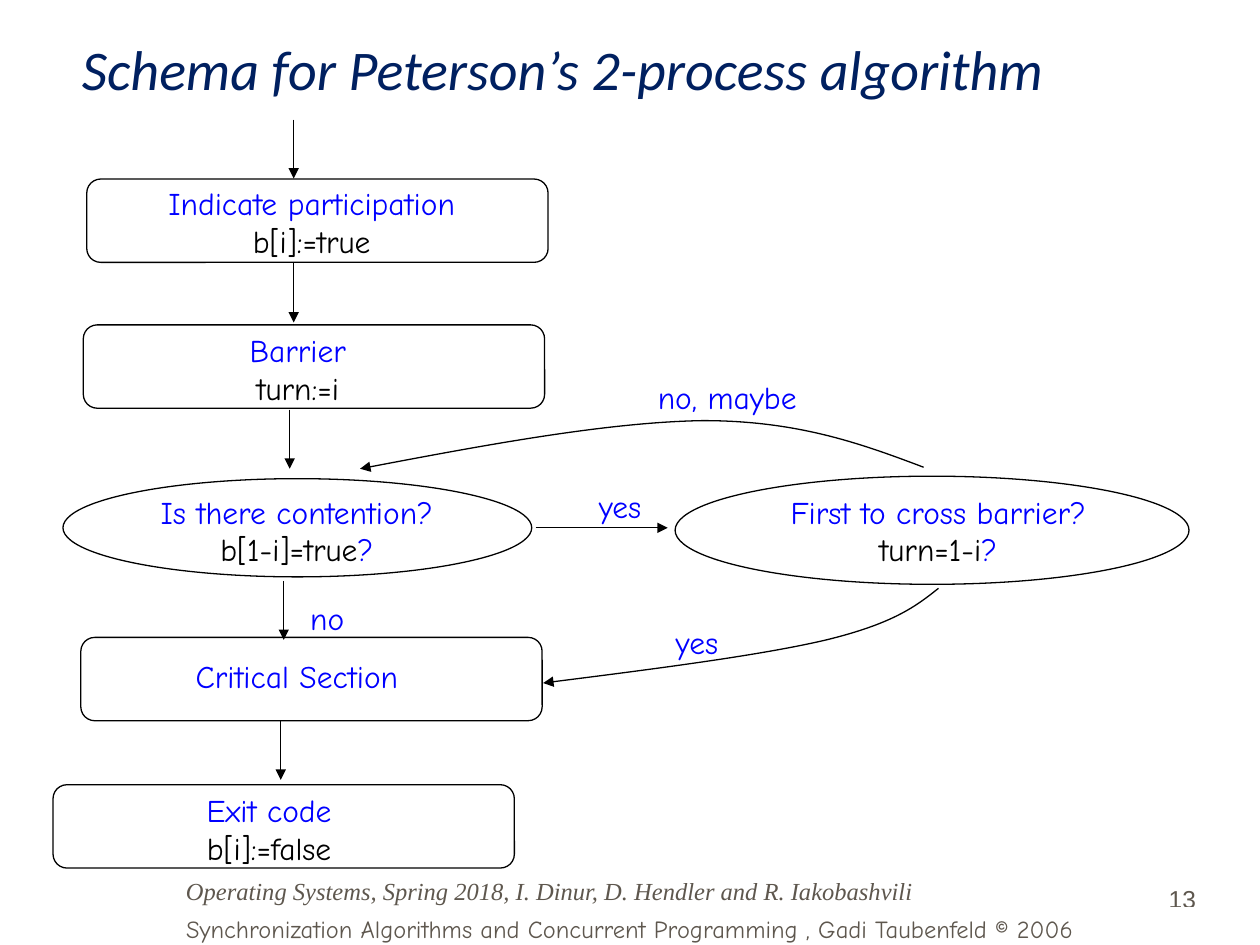
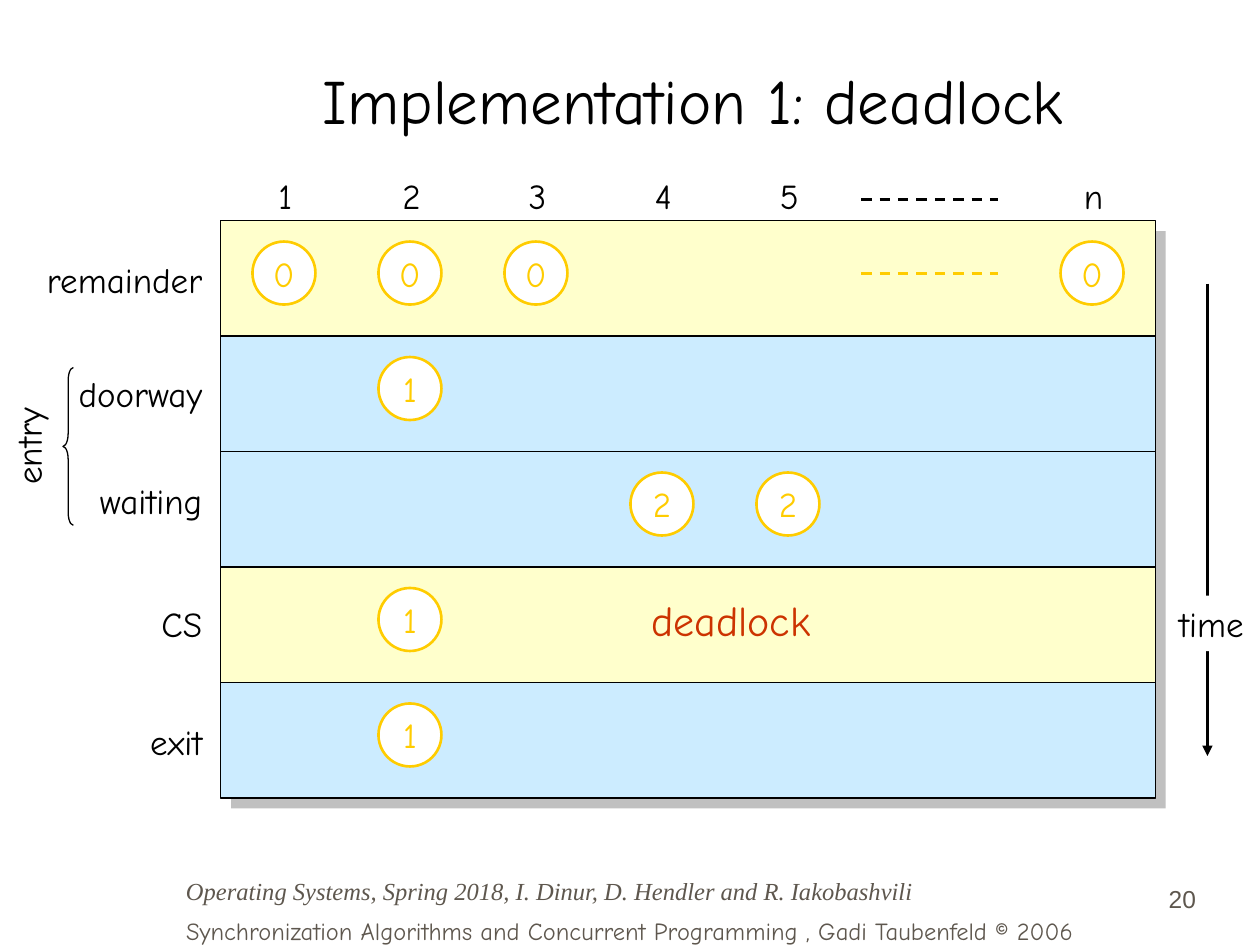
from dataclasses import dataclass

from lxml import etree
from pptx import Presentation
from pptx.dml.color import RGBColor
from pptx.enum.dml import MSO_LINE
from pptx.enum.shapes import MSO_CONNECTOR, MSO_SHAPE
from pptx.enum.text import MSO_ANCHOR, MSO_AUTO_SIZE, PP_ALIGN
from pptx.oxml.ns import qn
from pptx.util import Cm, Pt

ROUNDED, OVAL = MSO_SHAPE.ROUNDED_RECTANGLE, MSO_SHAPE.OVAL
RECTANGLE, BRACE = MSO_SHAPE.RECTANGLE, MSO_SHAPE.LEFT_BRACE
STRAIGHT = MSO_CONNECTOR.STRAIGHT
DASH = MSO_LINE.DASH
LEFT, CENTER, RIGHT = PP_ALIGN.LEFT, PP_ALIGN.CENTER, PP_ALIGN.RIGHT
TOP, MIDDLE, BOTTOM = MSO_ANCHOR.TOP, MSO_ANCHOR.MIDDLE, MSO_ANCHOR.BOTTOM
FIXED = MSO_AUTO_SIZE.NONE


@dataclass(frozen=True)
class Theme:
    black: str = "000000"
    white: str = "FFFFFF"
    navy: str = "002060"
    blue: str = "0000FF"
    footer: str = "5E574E"
    gold: str = "FFCC00"
    cream: str = "FFFFCC"
    sky: str = "CCECFF"
    shade: str = "C0C0C0"
    alert: str = "CC3300"
    hand: str = "Comic Neue"
    serif: str = "Times New Roman"
    sans: str = "Arial"
    heading: str = "Calibri"
    footer_size: float = 14
    flow_size: float = 18
    table_size: float = 20
    alert_size: float = 24
    flow_title: float = 32
    table_title: float = 36
    thin: float = 0.75
    thick: float = 1.5


THEME = Theme()


@dataclass(frozen=True)
class Box:
    left: float
    top: float
    width: float
    height: float

    def inner(self, left, top, width, height):
        return Box(self.left + left, self.top + top, width, height)

    def point(self, x, y):
        return Cm(self.left + x), Cm(self.top + y)

    def lengths(self):
        return [Cm(value) for value in (self.left, self.top, self.width, self.height)]


def style(name, size, color, **more):
    return {"name": name, "size": Pt(size), "color": color, **more}


FLOW_BLUE = style(THEME.hand, THEME.flow_size, THEME.blue)
FLOW_BLACK = style(THEME.hand, THEME.flow_size, THEME.black)
TABLE_BLACK = style(THEME.hand, THEME.table_size, THEME.black)
TABLE_GOLD = style(THEME.hand, THEME.table_size, THEME.gold)
ALERT = style(THEME.hand, THEME.alert_size, THEME.alert)
FOOTER = style(THEME.serif, THEME.footer_size, THEME.footer, italic=True)
NUMBER = style(THEME.sans, THEME.footer_size, THEME.footer)
CREDIT = style(THEME.hand, THEME.footer_size, THEME.footer)
FLOW_TITLE = style(THEME.heading, THEME.flow_title, THEME.navy, italic=True)
TABLE_TITLE = style(THEME.hand, THEME.table_title, THEME.black)


def apply(target, values):
    for name, value in values.items():
        if name == "color":
            target.color.rgb = RGBColor.from_string(value)
        else:
            setattr(target, name, value)


def write(shape, lines, align=LEFT, anchor=TOP, before=0, wrap=True):
    frame = shape.text_frame
    apply(frame, {
        "word_wrap": wrap, "auto_size": FIXED, "vertical_anchor": anchor,
        "margin_left": Cm(0.25), "margin_right": Cm(0.25),
        "margin_top": Cm(0.13), "margin_bottom": Cm(0.13),
    })
    paragraph = frame.paragraphs[0]
    apply(paragraph, {"alignment": align, "space_before": Pt(before)})
    for index, line in enumerate(lines):
        if index:
            paragraph.add_line_break()
        for text, font in line:
            run = paragraph.add_run()
            run.text = text
            apply(run.font, font)


def add_text(slide, box, lines, **layout):
    shape = slide.shapes.add_textbox(*box.lengths())
    write(shape, lines, **layout)
    return shape


def outline(shape, color, width, arrow=False):
    apply(shape.line, {"color": color, "width": Pt(width)})
    if arrow:
        line = shape.line._get_or_add_ln()
        etree.SubElement(line, qn("a:tailEnd"), type="triangle")


def add_shape(slide, kind, box, fill=None, line=None, width=THEME.thin):
    shape = slide.shapes.add_shape(kind, *box.lengths())
    shape.shadow.inherit = False
    if fill:
        shape.fill.solid()
        shape.fill.fore_color.rgb = RGBColor.from_string(fill)
    else:
        shape.fill.background()
    if line:
        outline(shape, line, width)
    else:
        shape.line.fill.background()
    return shape


def add_line(slide, start, end, color=THEME.black, width=THEME.thin, arrow=False, dash=None):
    connector = slide.shapes.add_connector(STRAIGHT, *start, *end)
    if dash:
        connector.line.dash_style = dash
    outline(connector, color, width, arrow)
    etree.SubElement(connector._element.spPr, qn("a:effectLst"))


def add_curve(slide, points):
    builder = slide.shapes.build_freeform(*points[0])
    builder.add_line_segments(points[1:], close=False)
    shape = builder.convert_to_shape()
    segments = list(shape._element.iter(qn("a:lnTo")))
    for index in range(0, len(segments), 3):
        bezier = etree.Element(qn("a:cubicBezTo"))
        segments[index].addprevious(bezier)
        for segment in segments[index:index + 3]:
            bezier.append(segment[0])
            segment.getparent().remove(segment)
    shape.fill.background()
    shape.shadow.inherit = False
    outline(shape, THEME.black, THEME.thin, arrow=True)


def add_title(slide, box, text, font, align):
    title = slide.shapes.title
    apply(title, dict(zip(("left", "top", "width", "height"), box.lengths())))
    write(title, [[(text, font)]], align=align, anchor=MIDDLE)


def add_footer(slide, box, number, credit_top):
    course = "Operating Systems, Spring 2018, I. Dinur, D. Hendler and R. Iakobashvili"
    credit = "Synchronization Algorithms and Concurrent Programming , Gadi Taubenfeld © 2006"
    add_text(slide, box.inner(3.5, 0.26, 16.2, 0.86), [[(course, FOOTER)]],
             anchor=BOTTOM, before=8.8)
    add_text(slide, box.inner(21.44, 0, 2.92, 1.27), [[(number, NUMBER)]],
             align=RIGHT, anchor=BOTTOM, before=8.8)
    band = add_shape(slide, RECTANGLE, box.inner(0, credit_top, box.width, 0.86), THEME.white)
    write(band, [[(credit, CREDIT)]], align=CENTER, before=8.8)


def add_node(slide, kind, box, label_left, label_top, lines):
    add_shape(slide, kind, box, line=THEME.black)
    label = box.inner(label_left, label_top, 10.85, 1.78 if len(lines) > 1 else 1.02)
    add_text(slide, label, lines, align=CENTER, before=11.2)


def add_flowchart(slide, box):
    def step(name, code=None, mark=""):
        lines = [[(name, FLOW_BLUE)]]
        if code:
            lines.append([(code, FLOW_BLACK)] + ([(mark, FLOW_BLUE)] if mark else []))
        return lines

    step_size = (9.3, 1.68)
    nodes = [
        (ROUNDED, (1.75, 1.2, *step_size), -0.89, -0.03,
         step("Indicate participation", "b[i]:=true")),
        (ROUNDED, (1.68, 4.14, *step_size), -1.1, 0, step("Barrier", "turn:=i")),
        (OVAL, (1.27, 7.24, 9.45, 1.98), -0.71, 0.15,
         step("Is there contention?", "b[1-i]=true", "?")),
        (OVAL, (13.61, 7.19, 10.36, 2.18), -0.12, 0.2,
         step("First to cross barrier?", "turn=1-i", "?")),
        (ROUNDED, (1.63, 10.44, *step_size), -1.07, 0.26, step("Critical Section")),
        (ROUNDED, (1.07, 13.41, *step_size), -1.07, 0, step("Exit code", "b[i]:=false")),
    ]
    for kind, place, label_left, label_top, lines in nodes:
        add_node(slide, kind, box.inner(*place), label_left, label_top, lines)

    for x, y in [(5.92, 0), (5.92, 2.9), (5.84, 5.85), (5.72, 9.3), (5.66, 12.12)]:
        add_line(slide, box.point(x, y), box.point(x, y + 1.19), arrow=True)
    add_line(slide, box.point(10.8, 8.23), box.point(13.46, 8.23), arrow=True)

    retry = [(18.62, 7.01), (17.35, 6.53), (16.08, 6.07), (14.17, 6.07),
             (12.29, 6.1), (9.78, 6.56), (7.26, 7.04)]
    enter = [(18.92, 9.45), (18.47, 9.81), (18.01, 10.16), (16.66, 10.49),
             (15.34, 10.8), (13.16, 11.08), (10.95, 11.36)]
    for curve in (retry, enter):
        add_curve(slide, [box.point(x, y) for x, y in curve])

    answers = [("yes", 10.59, 7.27, 2.59), ("no", 4.6, 9.53, 2.59),
               ("yes", 12.14, 10.01, 2.59), ("no, maybe", 12.55, 5.08, 3.76)]
    for text, left, top, width in answers:
        add_text(slide, box.inner(left, top, width, 1.02), [[(text, FLOW_BLUE)]],
                 align=RIGHT, before=11.2)


def add_process_grid(slide, box):
    columns = {name: 0.64 + 2.54 * index for index, name in enumerate("12345")}
    columns["n"] = 16.93
    row_height = box.height / 5
    rows = [
        ("remainder", THEME.cream, 0.63, 3.66, {"1": "0", "2": "0", "3": "0", "n": "0"}),
        ("doorway", THEME.sky, 2.92, 3.0, {"2": "1"}),
        ("waiting", THEME.sky, 5.08, 2.57, {"4": "2", "5": "2"}),
        ("CS", THEME.cream, 7.56, 1.32, {"2": "1"}),
        ("exit", THEME.sky, 9.95, 1.55, {"2": "1"}),
    ]
    add_shape(slide, RECTANGLE, box.inner(0.21, 0.21, box.width, box.height), THEME.shade)
    for index, (name, fill, label_top, label_width, tokens) in enumerate(rows):
        row = box.inner(0, index * row_height, box.width, row_height)
        add_shape(slide, RECTANGLE, row, fill, THEME.black)
        add_text(slide, box.inner(-0.12 - label_width, label_top, label_width, 1.12),
                 [[(name, TABLE_BLACK)]], align=RIGHT, wrap=False)
        for column, value in tokens.items():
            token = add_shape(slide, OVAL, row.inner(columns[column], 0.42, 1.27, 1.27),
                              THEME.white, THEME.gold, THEME.thick)
            write(token, [[(value, TABLE_GOLD)]], align=CENTER, anchor=MIDDLE, wrap=False)

    for name, left in columns.items():
        add_text(slide, box.inner(left + 0.03, -1.07, 1.27, 1.12),
                 [[(name, TABLE_BLACK)]], align=CENTER)
    for y, color in [(-0.43, THEME.black), (1.06, THEME.gold)]:
        add_line(slide, box.point(12.91, y), box.point(15.66, y), color, THEME.thick, dash=DASH)

    add_text(slide, box.inner(8.43, 7.41, 3.71, 1.27), [[("deadlock", ALERT)]], wrap=False)
    entry = add_text(slide, box.inner(-4.91, 3.98, 2.06, 1.12),
                     [[("entry", TABLE_BLACK)]], wrap=False)
    entry.rotation = 270
    brace = add_shape(slide, BRACE, box.inner(-3.18, 2.96, 0.21, 3.18), line=THEME.black)
    brace.adjustments[0] = 1.25


def add_time_axis(slide, box):
    add_line(slide, box.point(0.82, 0), box.point(0.82, box.height),
             width=THEME.thick, arrow=True)
    label = add_shape(slide, RECTANGLE, box.inner(0, 6.29, box.width, 1.12), THEME.white)
    write(label, [[("time", TABLE_BLACK)]], wrap=False)


def add_flow_slide(presentation, layout, footer_box):
    slide = presentation.slides.add_slide(layout)
    add_title(slide, Box(1.4, 0.58, 23.5, 1.6),
              "Schema for Peterson’s 2-process algorithm", FLOW_TITLE, LEFT)
    add_flowchart(slide, Box(0, 2.41, 25.4, 15.09))
    add_footer(slide, footer_box, "13", 1.02)


def add_grid_slide(presentation, layout, footer_box):
    slide = presentation.slides.add_slide(layout)
    add_title(slide, Box(3.18, 0.42, 21.59, 3.18),
              "Implementation 1: deadlock", TABLE_TITLE, CENTER)
    add_time_axis(slide, Box(23.52, 5.72, 1.8, 9.52))
    add_process_grid(slide, Box(4.45, 4.45, 18.84, 11.64))
    add_footer(slide, footer_box, "20", 1.07)


presentation = Presentation()
apply(presentation, {"slide_width": Cm(25.4), "slide_height": Cm(19.05)})
title_only = presentation.slide_layouts.get_by_name("Title Only")
footer_box = Box(0, 17.27, 25.4, 1.78)
add_flow_slide(presentation, title_only, footer_box)
add_grid_slide(presentation, title_only, footer_box)
presentation.save("out.pptx")
